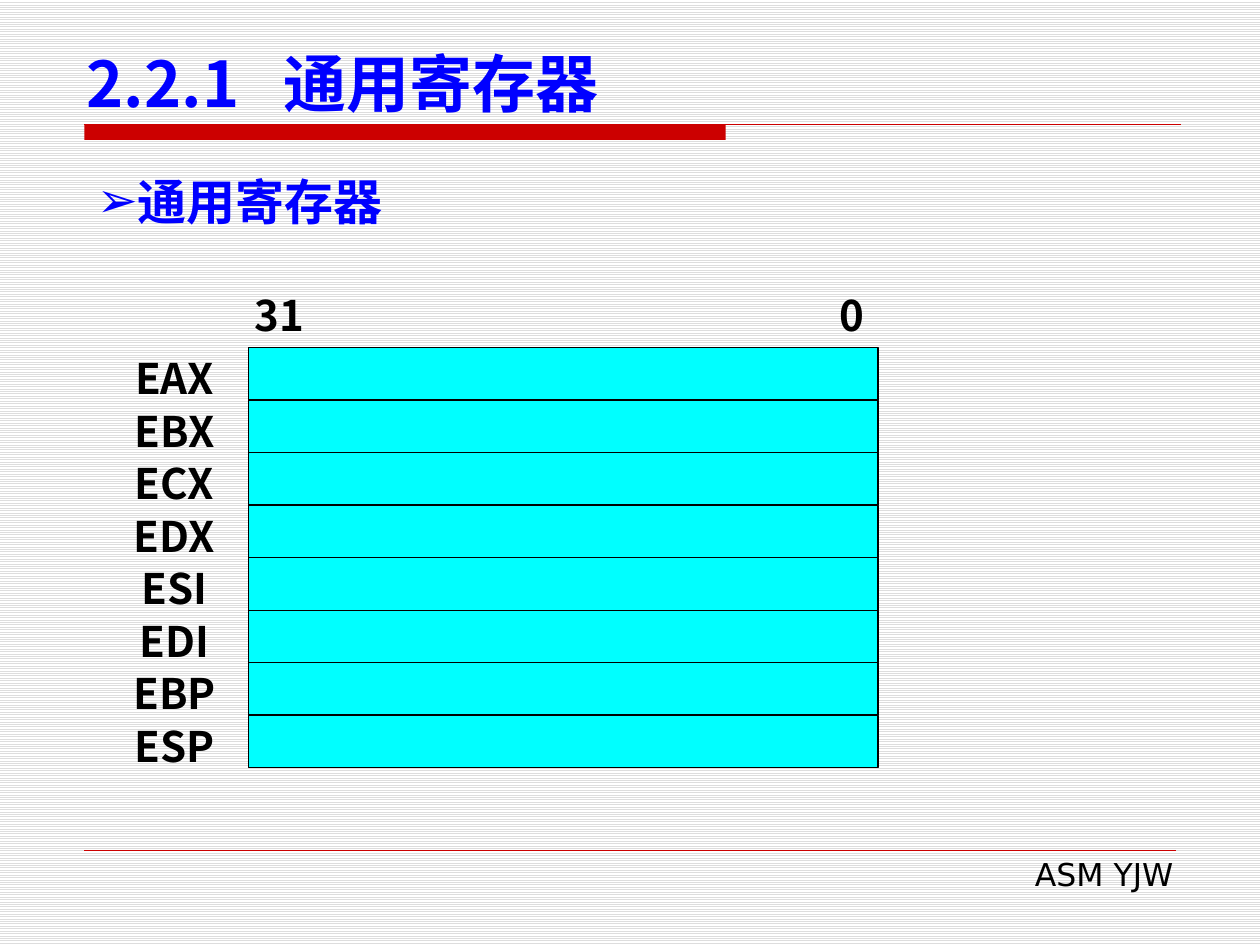
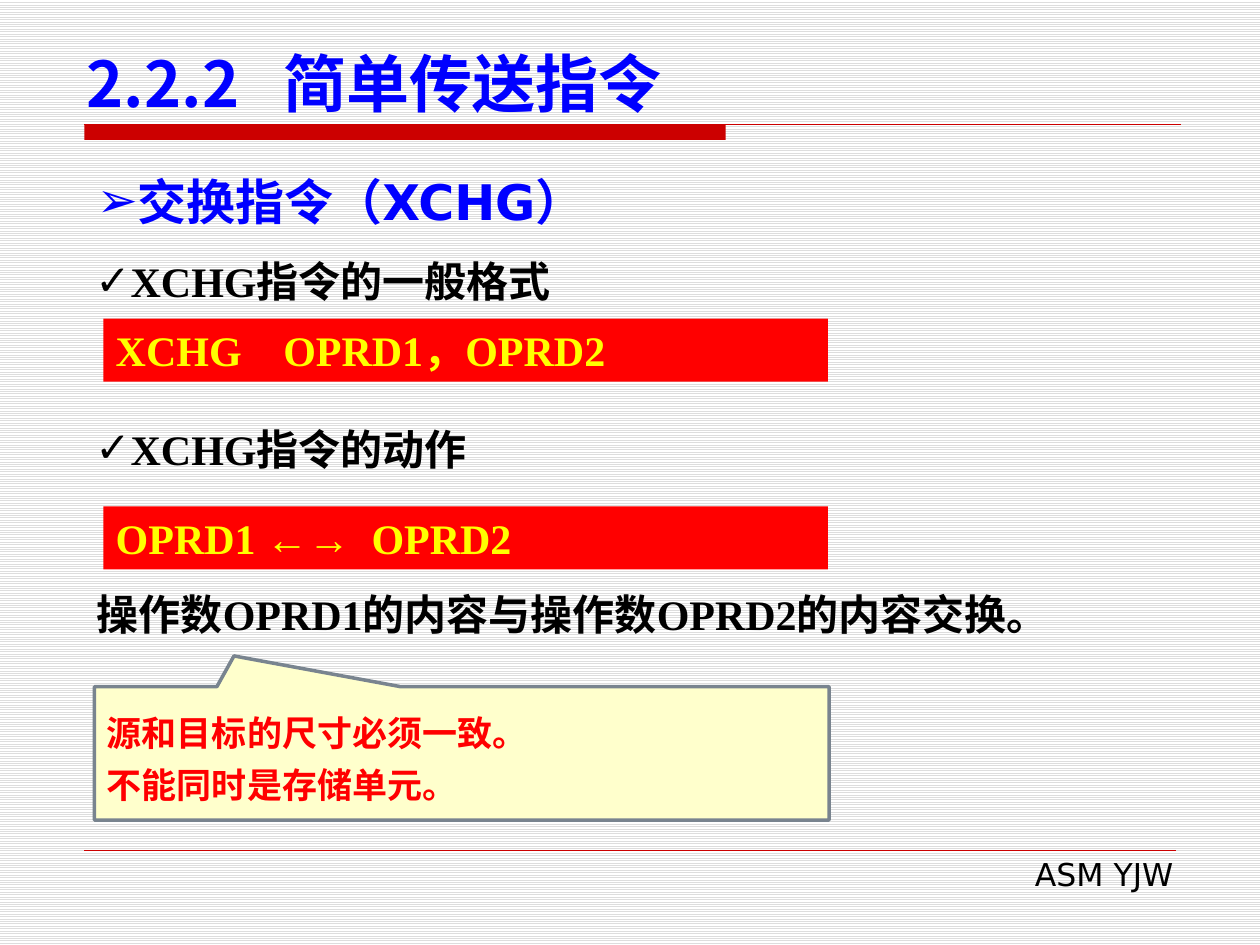
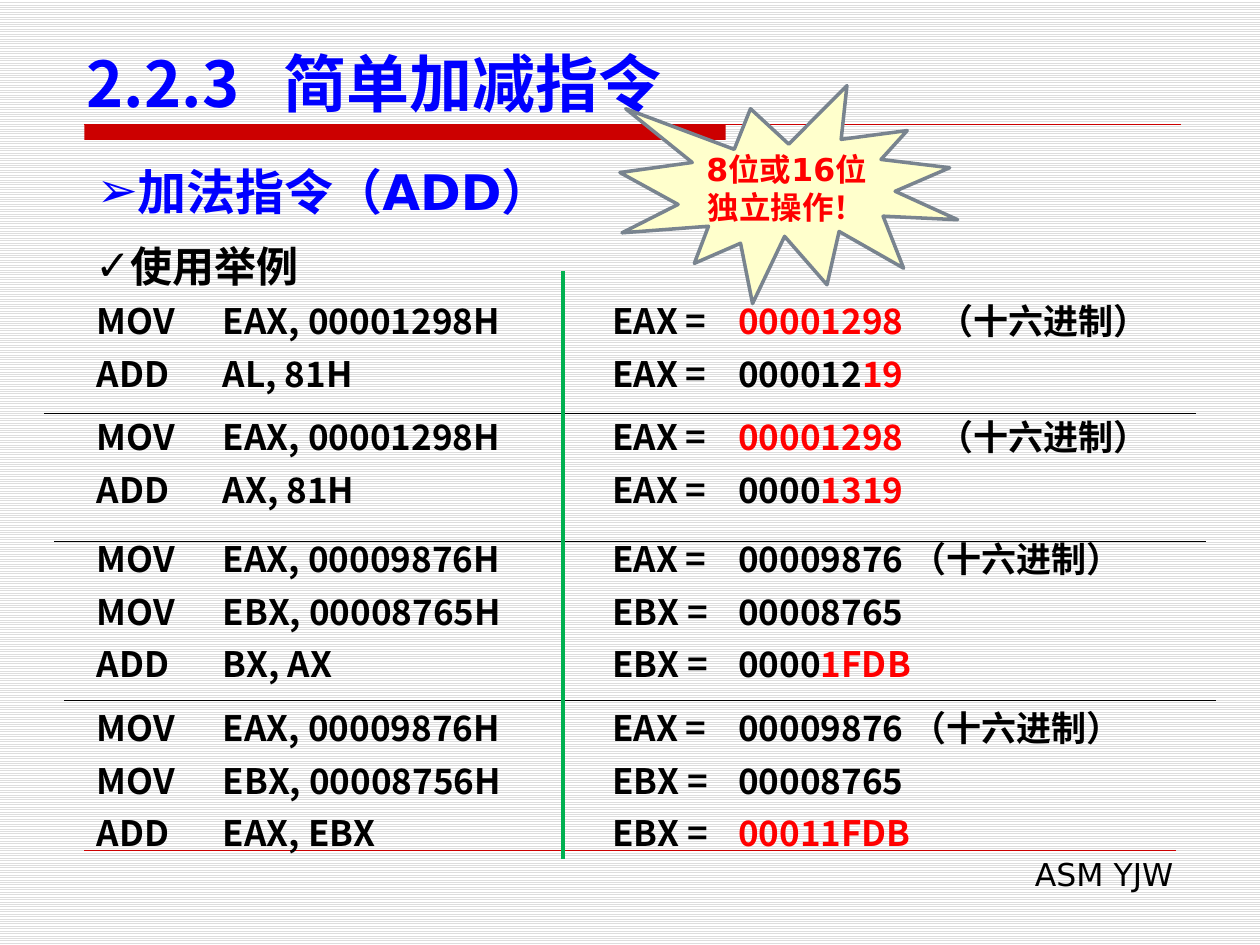
from lxml.etree import SubElement
from pptx import Presentation
from pptx.dml.color import RGBColor
from pptx.enum.dml import MSO_PATTERN
from pptx.enum.shapes import MSO_CONNECTOR, MSO_SHAPE
from pptx.enum.text import MSO_ANCHOR, PP_ALIGN
from pptx.oxml.ns import qn
from pptx.util import Inches, Pt

# Content: text between asterisks is red, tabs split columns
TITLES = ["2.2.1\t通用寄存器", "2.2.2\t简单传送指令", "2.2.3\t简单加减指令"]
HEADS = [("通用寄存器", 1.31), ("交换指令（XCHG）", 1.31), ("加法指令（ADD）", 1.23)]
FOOT = "ASM YJW"
REGS = ["EAX", "EBX", "ECX", "EDX", "ESI", "EDI", "EBP", "ESP"]
BITS = [("31", 1.8, 0.83), ("0", 6.55, 0.42)]
CHECKS = [("XCHG指令的一般格式", 1.98), ("XCHG指令的动作", 3.31)]
CODES = [("XCHG\tOPRD1，OPRD2", 2.53, 1.33), ("OPRD1 ←→\tOPRD2", 4.02, 2.03)]
SWAP = "操作数OPRD1的内容与操作数OPRD2的内容交换。"
RULES = ["源和目标的尺寸必须一致。", "不能同时是存储单元。"]
BURST = ["8位或16位", "独立操作！"]
DEMOS = [
    (2.33, ["MOV\tEAX, 00001298H", "ADD\tAL, 81H"],
     ["EAX =\t*00001298*\t（十六进制）", "EAX =\t000012*19*"]),
    (3.25, ["MOV\tEAX, 00001298H", "ADD\tAX, 81H"],
     ["EAX =\t*00001298*\t（十六进制）", "EAX =\t0000*1319*"]),
    (4.22, ["MOV\tEAX, 00009876H", "MOV\tEBX, 00008765H", "ADD\tBX, AX"],
     ["EAX =\t00009876 （十六进制）", "EBX =\t00008765", "EBX =\t0000*1FDB*"]),
    (5.56, ["MOV\tEAX, 00009876H", "MOV\tEBX, 00008756H", "ADD\tEAX, EBX"],
     ["EAX =\t00009876 （十六进制）", "EBX =\t00008765", "EBX =\t*00011FDB*"]),
]
CUTS = [3.28, 4.3, 5.56]

# Shared look
BLACK = RGBColor(0, 0, 0)
WHITE = RGBColor(255, 255, 255)
GREY = RGBColor(0xDD, 0xDD, 0xDD)
BLUE = RGBColor(0, 0, 255)
RED = RGBColor(255, 0, 0)
BRICK = RGBColor(0xCC, 0, 0)
CYAN = RGBColor(0, 255, 255)
YELLOW = RGBColor(255, 255, 0)
CREAM = RGBColor(255, 255, 0xCC)
SLATE = RGBColor(0x79, 0x84, 0x8F)
GREEN = RGBColor(0, 0xB0, 0x50)
SANS, HAN, SERIF = "DejaVu Sans", "Noto Sans CJK SC", "Times New Roman"
LEFT, WIDE = 0.67, 8.66


def write(shape, lines, size, font, color=BLACK, bold=True, align=PP_ALIGN.LEFT,
          anchor=MSO_ANCHOR.TOP, bullet=None, tabs=(), gap=0, lead=None):
    frame = shape.text_frame
    frame.word_wrap = True
    frame.vertical_anchor = anchor
    for i, line in enumerate(lines):
        para = frame.add_paragraph() if i else frame.paragraphs[0]
        para.alignment = align
        if lead:
            para.line_spacing = Pt(lead)
        if i and gap:
            para.space_before = Pt(gap)
        props = para._p.get_or_add_pPr()
        if bullet:
            props.set("marL", "0")
            props.set("indent", "0")
            SubElement(props, qn("a:buFont"), typeface=SANS)
            SubElement(props, qn("a:buChar"), char=bullet)
        if tabs:
            stops = SubElement(props, qn("a:tabLst"))
            for tab in tabs:
                SubElement(stops, qn("a:tab"), pos=str(Inches(tab)), algn="l")
        for k, part in enumerate(line.split("*")):
            if part:
                run = para.add_run()
                run.text = part
                run.font.size, run.font.bold, run.font.name = Pt(size), bold, font
                run.font.color.rgb = RED if k % 2 else color
                SubElement(run._r.get_or_add_rPr(), qn("a:ea"), typeface=HAN)


def label(slide, x, y, w, h, lines, size, font, **style):
    box = slide.shapes.add_textbox(Inches(x), Inches(y), Inches(w), Inches(h))
    write(box, lines, size, font, **style)


def block(slide, kind, x, y, w, h, fill, edge=None, width=0.75):
    shape = slide.shapes.add_shape(kind, Inches(x), Inches(y), Inches(w), Inches(h))
    shape.shadow.inherit = False
    shape.fill.solid()
    shape.fill.fore_color.rgb = fill
    if edge is None:
        shape.line.fill.background()
    else:
        shape.line.color.rgb = edge
        shape.line.width = Pt(width)
    return shape


def rule(slide, x1, y1, x2, y2, color, width):
    line = slide.shapes.add_connector(
        MSO_CONNECTOR.STRAIGHT, Inches(x1), Inches(y1), Inches(x2), Inches(y2))
    line.line.color.rgb = color
    line.line.width = Pt(width)
    SubElement(line._element.spPr, qn("a:effectLst"))


def start(deck, num):
    """Add a slide with background, band, footer, title and heading."""
    slide = deck.slides.add_slide(deck.slide_layouts[6])
    back = slide.background.fill
    back.patterned()
    back.pattern = MSO_PATTERN.LIGHT_HORIZONTAL
    back.fore_color.rgb = GREY
    back.back_color.rgb = WHITE
    block(slide, MSO_SHAPE.RECTANGLE, LEFT, 0.99, 5.09, 0.12, BRICK)
    rule(slide, LEFT, 0.99, 9.37, 0.99, BRICK, 0.75)
    rule(slide, LEFT, 6.75, LEFT + WIDE, 6.75, BRICK, 0.25)
    label(slide, 3.82, 6.74, 5.59, 0.4, [FOOT], 18, SANS, bold=False,
          align=PP_ALIGN.RIGHT)
    label(slide, 0.59, 0.29, 9.06, 0.71, [TITLES[num]], 36, HAN, color=BLUE,
          anchor=MSO_ANCHOR.BOTTOM, tabs=[1.56])
    head, top = HEADS[num]
    label(slide, LEFT, top, WIDE, 0.57, [head], 28, SANS, color=BLUE, bullet="➢")
    return slide


def registers(deck):
    slide = start(deck, 0)
    top, step = 2.76, 5 / 12
    for i, reg in enumerate(REGS):
        y = top + i * step
        block(slide, MSO_SHAPE.RECTANGLE, 1.97, y, 5, step, CYAN, BLACK)
        label(slide, 0.8, y - 0.01, 1.17, 0.5, [reg], 24, HAN, align=PP_ALIGN.CENTER)
    for bit, x, w in BITS:
        label(slide, x, 2.25, w, 0.5, [bit], 24, HAN, align=PP_ALIGN.CENTER)


def exchange(deck):
    slide = start(deck, 1)
    for text, y in CHECKS:
        label(slide, 0.66, y, 7.33, 0.5, [text], 24, SERIF, bullet="✓")
    for code, y, tab in CODES:
        bar = block(slide, MSO_SHAPE.RECTANGLE, 0.82, y, 5.75, 0.5, RED)
        write(bar, [code], 24, SERIF, color=YELLOW, tabs=[tab])
    label(slide, LEFT, 4.62, WIDE, 0.5, [SWAP], 24, SERIF)
    note = block(slide, MSO_SHAPE.RECTANGULAR_CALLOUT, 0.75, 5.45, 5.83, 1.06,
                 CREAM, SLATE, 2)
    note.adjustments[0], note.adjustments[1] = -0.31, -0.73
    write(note, RULES, 20, SANS, color=RED, anchor=MSO_ANCHOR.MIDDLE, lead=30)


def addition(deck):
    slide = start(deck, 2)
    label(slide, 0.66, 1.86, 8.67, 0.5, ["使用举例"], 24, SERIF, bullet="✓")
    for y, code, state in DEMOS:
        high = 0.43 * len(code) + 0.01
        label(slide, LEFT, y, 3.92, high, code, 20, HAN, gap=6, tabs=[1])
        label(slide, 4.76, y, 4.67, high, state, 20, HAN, gap=6, tabs=[1, 2.59])
    for i, y in enumerate(CUTS):
        x = 0.35 + 0.08 * i
        rule(slide, x, y, x + 9.14, y, BLACK, 0.75)
    star = block(slide, MSO_SHAPE.EXPLOSION1, 4.92, 0.68, 2.68, 1.73, CREAM, SLATE, 2)
    write(star, BURST, 18, SANS, color=RED, align=PP_ALIGN.CENTER,
          anchor=MSO_ANCHOR.MIDDLE)
    rule(slide, 4.47, 2.15, 4.47, 6.82, GREEN, 2.25)


def main():
    deck = Presentation()
    deck.slide_width, deck.slide_height = Inches(10), Inches(7.5)
    for build in (registers, exchange, addition):
        build(deck)
    deck.save("out.pptx")


if __name__ == "__main__":
    main()
